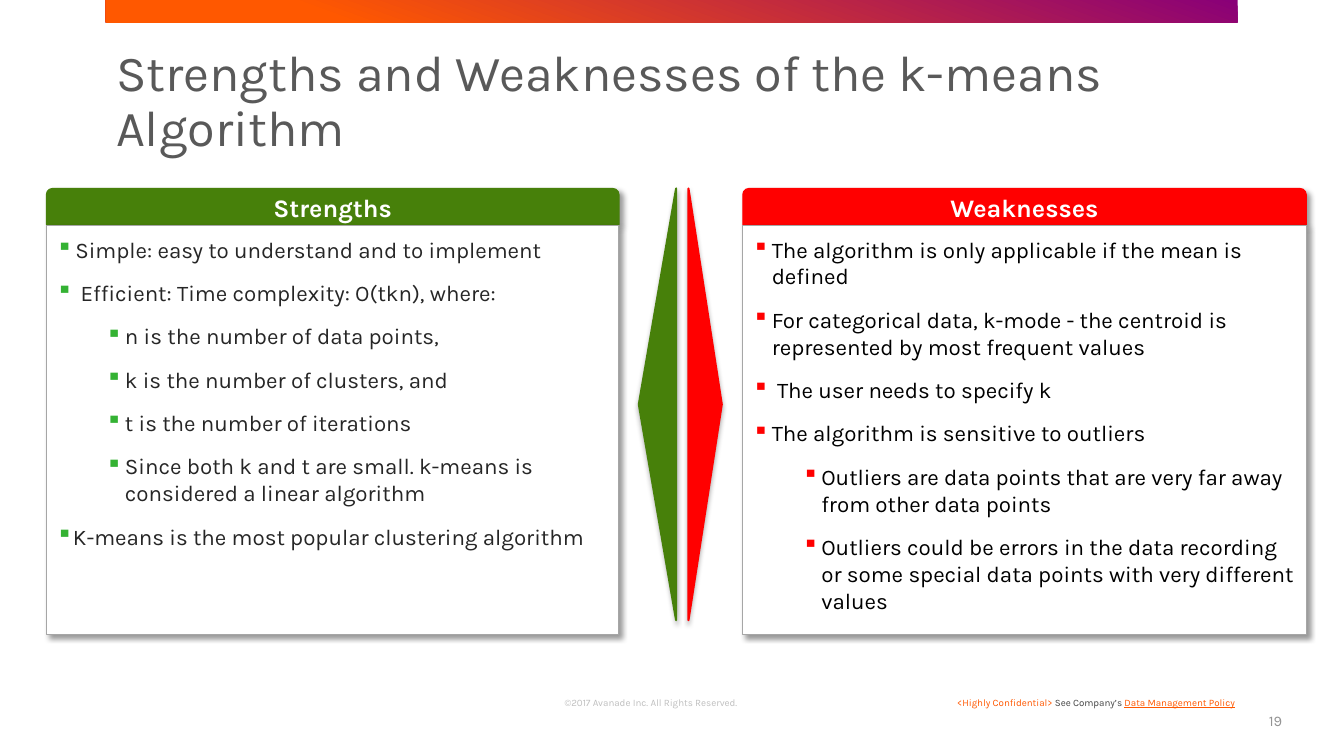
import lxml.etree
import pptx
import pptx.dml.color
import pptx.enum.shapes
import pptx.enum.text
import pptx.oxml.ns
import pptx.util

Cm = pptx.util.Cm
Pt = pptx.util.Pt
ANCHOR = pptx.enum.text.MSO_ANCHOR
ALIGN = pptx.enum.text.PP_ALIGN
SHAPE = pptx.enum.shapes.MSO_SHAPE

COLORS = {
    "white": "FFFFFF", "black": "000000", "purple": "890078", "orange": "FF5800",
    "green": "47800A", "bullet_green": "34B233", "red": "FF0000",
    "title": "595959", "body": "262626", "border": "A6A6A6",
    "copyright": "BFBFBF", "policy": "464646", "number": "939393",
}
PANEL_SHADOW = {"opacity": 40, "blur": 4, "distance": 3, "angle": 45}
ARROW_SHADOW = {"opacity": 32, "blur": 3.5, "distance": 2.2, "angle": 90}
PANEL_TOP, HEADER_HEIGHT = 4.75, 0.91
BODY_TOP, BODY_HEIGHT = 5.69, 10.29

# Each bullet: level, text
STRENGTHS = [
    (0, "Simple: easy to understand and to implement"),
    (0, " Efficient: Time complexity: O(tkn), where:"),
    (1, "n is the number of data points,"),
    (1, "k is the number of clusters, and"),
    (1, "t is the number of iterations"),
    (1, "Since both k and t are small. k-means is considered a linear algorithm"),
    (0, "K-means is the most popular clustering algorithm"),
]
WEAKNESSES = [
    (0, "The algorithm is only applicable if the mean is defined"),
    (0, "For categorical data, k-mode - the centroid is represented by most frequent values"),
    (0, " The user needs to specify k"),
    (0, "The algorithm is sensitive to outliers"),
    (1, "Outliers are data points that are very far away from other data points"),
    (1, "Outliers could be errors in the data recording or some special data points "
        "with very different values"),
]


def rgb(name):
    return pptx.dml.color.RGBColor.from_string(COLORS[name])


def add_element(parent, tag, **attributes):
    element = lxml.etree.SubElement(parent, pptx.oxml.ns.qn(tag))
    for key, value in attributes.items():
        element.set(key, str(value))
    return element


class SlideBuilder:
    font_name = "Karla"

    def __init__(self, deck):
        self.page = deck.slides.add_slide(deck.slide_layouts[5])

    def style(self, font, size, color, bold=False):
        font.name = self.font_name
        font.size = Pt(size)
        font.bold = bold
        font.color.rgb = rgb(color)

    def paint(self, shape, fill, line, width, shadow):
        shape.fill.solid()
        shape.fill.fore_color.rgb = rgb(fill)
        shape.line.color.rgb = rgb(line)
        shape.line.width = Pt(width)
        shape.shadow.inherit = False
        effects = shape._element.spPr.find(pptx.oxml.ns.qn("a:effectLst"))
        outer = add_element(effects, "a:outerShdw", blurRad=Pt(shadow["blur"]),
                            dist=Pt(shadow["distance"]), dir=shadow["angle"] * 60000,
                            algn="ctr", rotWithShape=0)
        tint = add_element(outer, "a:srgbClr", val=COLORS["black"])
        add_element(tint, "a:alpha", val=shadow["opacity"] * 1000)

    def title(self, text, left, top, width, height):
        box = self.page.shapes.title
        box.left, box.top, box.width, box.height = map(Cm, (left, top, width, height))
        frame = box.text_frame
        frame.text = text
        frame.word_wrap = True
        frame.auto_size = pptx.enum.text.MSO_AUTO_SIZE.NONE
        frame.vertical_anchor = ANCHOR.TOP
        para = frame.paragraphs[0]
        para.alignment = ALIGN.LEFT
        para.line_spacing = 0.9
        self.style(para.runs[0].font, 36, "title")

    def gradient_bar(self, left, top, width, height):
        bar = self.page.shapes.add_shape(SHAPE.RECTANGLE, *map(Cm, (left, top, width, height)))
        bar.shadow.inherit = False
        bar.line.fill.background()
        bar.fill.gradient()
        bar.fill.gradient_angle = 250
        for stop, color, position in zip(bar.fill.gradient_stops, ("purple", "orange"), (0, 0.8)):
            stop.color.rgb = rgb(color)
            stop.position = position

    def label(self, spans, left, top, width, height, size, align, anchor, inset=None):
        """Text box with one line of differently coloured spans."""
        box = self.page.shapes.add_textbox(*map(Cm, (left, top, width, height)))
        frame = box.text_frame
        frame.word_wrap = True
        frame.vertical_anchor = anchor
        if inset is not None:
            self.set_insets(frame, inset)
        para = frame.paragraphs[0]
        para.alignment = align
        for text, color, underline in spans:
            span = para.add_run()
            span.text = text
            self.style(span.font, size, color)
            span.font.underline = underline

    def set_insets(self, frame, inset):
        frame.margin_left = frame.margin_right = Cm(inset)
        frame.margin_top = frame.margin_bottom = Cm(inset)

    def header(self, text, left, width, color):
        shape = self.page.shapes.add_shape(
            SHAPE.ROUND_2_SAME_RECTANGLE, *map(Cm, (left, PANEL_TOP, width, HEADER_HEIGHT)))
        self.paint(shape, color, color, 0.75, PANEL_SHADOW)
        frame = shape.text_frame
        frame.text = text
        frame.vertical_anchor = ANCHOR.MIDDLE
        para = frame.paragraphs[0]
        para.alignment = ALIGN.CENTER
        self.style(para.runs[0].font, 18, "white", bold=True)

    def bullet_panel(self, bullets, left, width, text_color, bullet_color, tight_last=False):
        shape = self.page.shapes.add_shape(
            SHAPE.RECTANGLE, *map(Cm, (left, BODY_TOP, width, BODY_HEIGHT)))
        self.paint(shape, "white", "border", 0.75, PANEL_SHADOW)
        frame = shape.text_frame
        frame.word_wrap = True
        frame.vertical_anchor = ANCHOR.TOP
        self.set_insets(frame, 0.25)
        for index, (level, text) in enumerate(bullets):
            para = frame.add_paragraph() if index else frame.paragraphs[0]
            para.text = text
            para.level = level
            para.alignment = ALIGN.LEFT
            tight = tight_last and index == len(bullets) - 1
            hanging = 0.3 if tight else 0.48
            properties = para._p.get_or_add_pPr()
            properties.set("marL", str(Cm(hanging + 1.25 * level)))
            properties.set("indent", str(-Cm(hanging)))
            tint = add_element(properties, "a:buClr")
            add_element(tint, "a:srgbClr", val=COLORS[bullet_color])
            add_element(properties, "a:buChar", char="▪")
            if index:
                para.space_before = Pt(11.8)
            self.style(para.runs[0].font, 16, text_color)

    def half_diamond(self, flat_x, tip_x, color):
        top, bottom = PANEL_TOP, 15.63
        builder = self.page.shapes.build_freeform(Cm(flat_x), Cm(top))
        builder.add_line_segments(
            [(Cm(tip_x), Cm((top + bottom) / 2)), (Cm(flat_x), Cm(bottom))], close=True)
        self.paint(builder.convert_to_shape(), color, color, 1.5, ARROW_SHADOW)


def main():
    deck = pptx.Presentation()
    deck.slide_width, deck.slide_height = Cm(33.87), Cm(19.05)
    slide = SlideBuilder(deck)

    # Top band and title
    slide.gradient_bar(2.67, 0, 28.52, 0.56)
    slide.title("Strengths and Weaknesses of the k-means Algorithm", 2.67, 1.09, 28.52, 2.77)

    # Two panels
    slide.header("Strengths", 1.17, 14.43, "green")
    slide.bullet_panel(STRENGTHS, 1.17, 14.43, "body", "bullet_green", tight_last=True)
    slide.header("Weaknesses", 18.72, 14.2, "red")
    slide.bullet_panel(WEAKNESSES, 18.72, 14.2, "black", "red")

    # Split diamond between the panels
    slide.half_diamond(17.35, 18.19, "red")
    slide.half_diamond(17.04, 16.1, "green")

    # Footer
    slide.label([("©2017 Avanade Inc. All Rights Reserved.", "copyright", False)],
                12.95, 17.4, 6.91, 0.46, 7, ALIGN.CENTER, ANCHOR.BOTTOM, inset=0)
    slide.label([("<Highly Confidential> ", "orange", False),
                 ("See Company’s ", "policy", False),
                 ("Data Management Policy", "orange", True)],
                23.65, 17.42, 7.72, 0.56, 7, ALIGN.RIGHT, ANCHOR.TOP)
    slide.label([("19", "number", False)],
                31.19, 17.65, 1.37, 1.02, 10.5, ALIGN.RIGHT, ANCHOR.MIDDLE)

    deck.save("out.pptx")


if __name__ == "__main__":
    main()
